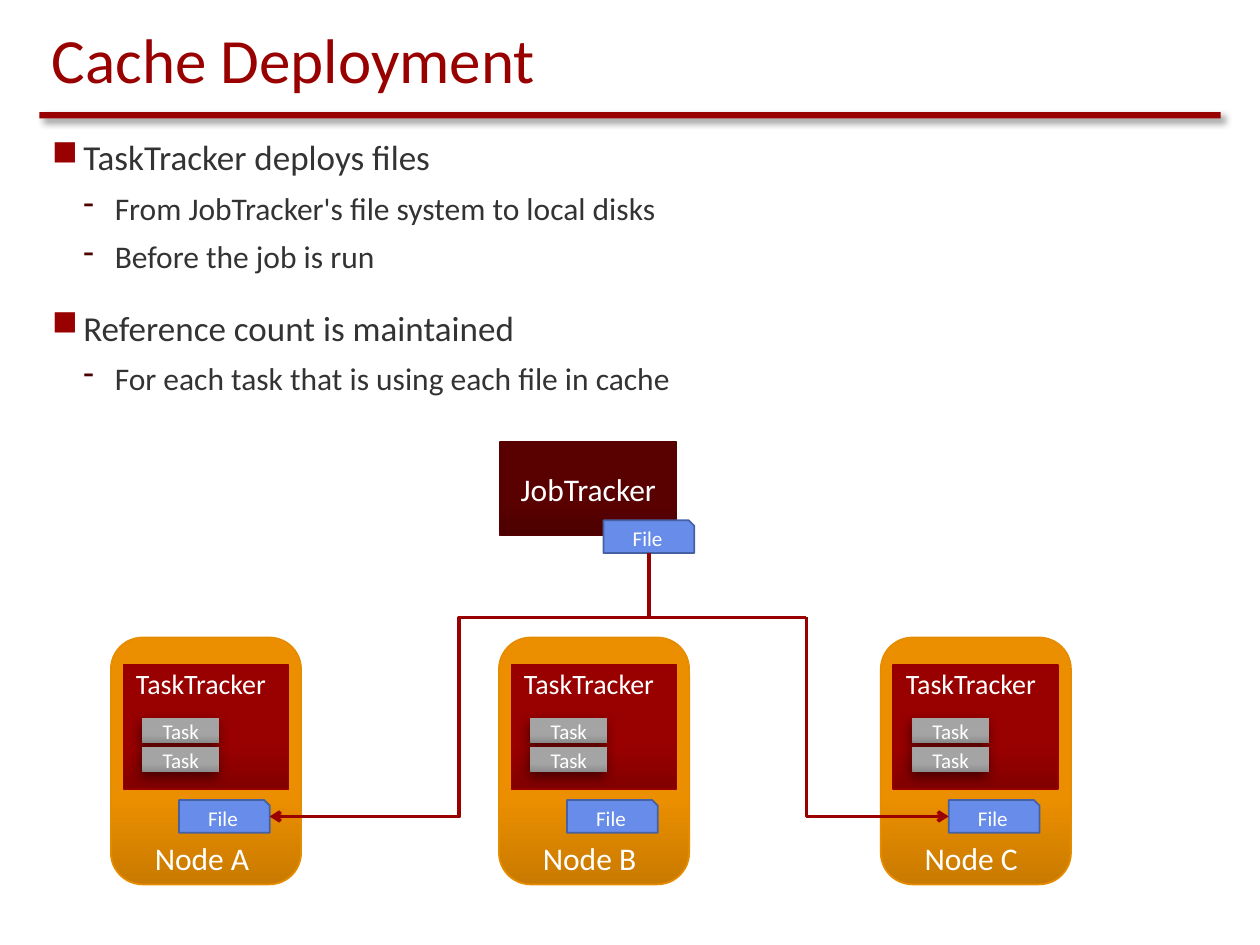
from lxml import etree
from pptx import Presentation, util as u
from pptx.dml.color import RGBColor
from pptx.enum import shapes as kinds, text as t
from pptx.oxml import ns

# Content
TITLE = "Cache Deployment"
BULLETS = [
    (0, "TaskTracker deploys files"),
    (1, "From JobTracker's file system to local disks"),
    (1, "Before the job is run"),
    (0, "Reference count is maintained"),
    (1, "For each task that is using each file in cache"),
]
NODES = [("Node A", 0.88), ("Node B", 3.96), ("Node C", 6.99)]  # name, left
TASKS = ["Task", "Task"]

# Look: bullet levels are indent, size, space before, mark, mark colour
FONT = "Calibri"
COLORS = {
    "red": "990000", "red_dark": "830000", "red_line": "960000",
    "maroon": "590000", "maroon_dark": "4C0000", "maroon_line": "570000",
    "orange": "EB8F00", "orange_dark": "C97A00", "orange_line": "E68C00",
    "gray": "A4A4A4", "gray_dark": "8C8C8C",
    "blue": "678CE9", "blue_line": "4661A3",
    "ink": "333333", "white": "FFFFFF", "black": "000000",
}
LEVELS = [(0.25, 20, 18, "■", "red"), (0.5, 18, 6, "-", "maroon_dark")]
HANGING = 0.25

# Grid, in inches
WIDTH, HEIGHT = 10, 7.5
MARGIN = WIDTH / 32
CONTENT = WIDTH - 2 * MARGIN
NODE_TOP, NODE_W, NODE_H = 5.06, 1.51, 1.96
FILE_W, FILE_H = 0.72, 0.26
FILE_DX, FILE_DY = 0.54, 1.29
JOB_FILE = (4.79, 4.13)
BUS_Y = 4.9

MID = t.MSO_ANCHOR.MIDDLE
CENTER = t.PP_ALIGN.CENTER
PRESET = kinds.MSO_SHAPE


def rgb(name):
    return RGBColor.from_string(COLORS[name])


def inches(*values):
    return [u.Inches(value) for value in values]


def add_span(para, words, size, color):
    span = para.add_run()
    span.text = words
    span.font.name, span.font.size = FONT, u.Pt(size)
    span.font.color.rgb = rgb(color)


def add_text(parent, at, words, size, color="white", wrap=False, anchor=t.MSO_ANCHOR.TOP):
    frame = parent.add_textbox(*inches(*at)).text_frame
    frame.word_wrap, frame.vertical_anchor = wrap, anchor
    if words:
        add_span(frame.paragraphs[0], words, size, color)
    return frame


def add_box(parent, preset, at, fill, shaded=True, line=None, words=None, size=12):
    box = parent.add_shape(preset, *inches(*at))
    box.shadow.inherit = False
    if shaded:
        box.fill.gradient()
        box.fill.gradient_angle = 90
        for stop, place, color in zip(box.fill.gradient_stops, (0, 0.35), (fill + "_dark", fill)):
            stop.position, stop.color.rgb = place, rgb(color)
    else:
        box.fill.solid()
        box.fill.fore_color.rgb = rgb(fill)
    if line:
        box.line.color.rgb, box.line.width = rgb(line), u.Pt(1)
    else:
        box.line.fill.background()
    if words:
        box.text_frame.vertical_anchor = MID
        para = box.text_frame.paragraphs[0]
        para.alignment = CENTER
        add_span(para, words, size, "white")
    return box


def add_shadow(box, opacity, blur, distance, angle):
    effects = box._element.spPr.find(ns.qn("a:effectLst"))
    shadow = etree.SubElement(effects, ns.qn("a:outerShdw"), blurRad=str(u.Pt(blur)),
                              dist=str(u.Pt(distance)), dir=str(angle * 60000),
                              algn="ctr", rotWithShape="0")
    color = etree.SubElement(shadow, ns.qn("a:srgbClr"), val=COLORS["black"])
    etree.SubElement(color, ns.qn("a:alpha"), val=str(opacity * 1000))


def add_bullet(para, level, words):
    indent, size, before, mark, color = LEVELS[level]
    para.level, para.space_before = level, u.Pt(before)
    props = para._p.get_or_add_pPr()
    props.set("marL", str(u.Inches(indent)))
    props.set("indent", str(u.Inches(-HANGING)))
    tint = etree.SubElement(props, ns.qn("a:buClr"))
    etree.SubElement(tint, ns.qn("a:srgbClr"), val=COLORS[color])
    etree.SubElement(props, ns.qn("a:buChar"), char=mark)
    add_span(para, words, size, "ink")


def add_file(parent, left, top):
    add_box(parent, PRESET.SNIP_1_RECTANGLE, (left, top, FILE_W, FILE_H), "blue",
            shaded=False, line="blue_line", words="File")


def add_node(page, name, left):
    group = page.shapes.add_group_shape().shapes
    add_box(group, PRESET.ROUNDED_RECTANGLE, (left, NODE_TOP, NODE_W, NODE_H),
            "orange", line="orange_line")
    add_text(group, (left + 0.25, NODE_TOP + 1.55, 1.02, 0.4), name, 18)
    add_box(group, PRESET.RECTANGLE, (left + 0.1, NODE_TOP + 0.22, 1.31, 0.98),
            "red", line="red_line")
    add_text(group, (left + 0.1, NODE_TOP + 0.18, 1.29, 0.37), "TaskTracker", 16)
    for row, task in enumerate(TASKS):
        at = (left + 0.25, NODE_TOP + 0.64 + row * 0.23, 0.61, 0.2)
        add_shadow(add_box(group, PRESET.RECTANGLE, at, "gray", words=task), 50, 7, 3, 110)
    add_file(group, left + FILE_DX, NODE_TOP + FILE_DY)


def add_elbow(page, start, end, preset, arrow=None):
    wire = page.shapes.add_connector(kinds.MSO_CONNECTOR.ELBOW, *inches(*start, *end))
    wire.line.color.rgb, wire.line.width = rgb("red"), u.Pt(2)
    shape_props = wire._element.spPr
    shape_props.find(ns.qn("a:prstGeom")).set("prst", preset)
    if arrow:
        etree.SubElement(wire.line._get_or_add_ln(), ns.qn("a:" + arrow), type="arrow")
    etree.SubElement(shape_props, ns.qn("a:effectLst"))


def main():
    deck = Presentation()
    deck.slide_width, deck.slide_height = inches(WIDTH, HEIGHT)
    page = deck.slides.add_slide(deck.slide_layouts[6])

    # Heading and rule
    rule = add_box(page.shapes, PRESET.RECTANGLE, (MARGIN, 0.89, CONTENT, 0.05),
                   "red", shaded=False)
    add_shadow(rule, 43, 4, 3, 45)
    add_text(page.shapes, (MARGIN, 0.14, CONTENT, 0.67), TITLE, 36, "red",
             wrap=True, anchor=t.MSO_ANCHOR.BOTTOM)

    # Bullets
    body = add_text(page.shapes, (MARGIN, 1.03, CONTENT, 2.31), None, 20, wrap=True)
    for index, (level, words) in enumerate(BULLETS):
        para = body.add_paragraph() if index else body.paragraphs[0]
        add_bullet(para, level, words)

    # Tracker and nodes
    add_box(page.shapes, PRESET.RECTANGLE, (3.97, 3.51, 1.4, 0.74), "maroon",
            line="maroon_line", words="JobTracker", size=18)
    for name, left in NODES:
        add_node(page, name, left)
    add_file(page.shapes, *JOB_FILE)

    # Wires from the tracker's file to the first and last node
    source_x, source_y = JOB_FILE[0] + FILE_W / 2, JOB_FILE[1] + FILE_H
    file_y = NODE_TOP + FILE_DY + FILE_H / 2
    first_x = NODES[0][1] + FILE_DX + FILE_W
    last_x = NODES[-1][1] + FILE_DX
    corner = (6.4, BUS_Y)
    add_elbow(page, corner, (source_x, source_y), "bentConnector2")
    add_elbow(page, (last_x, file_y), corner, "bentConnector2", "headEnd")
    add_elbow(page, (source_x, BUS_Y), (first_x, file_y), "bentConnector3", "tailEnd")

    deck.save("out.pptx")


if __name__ == "__main__":
    main()
